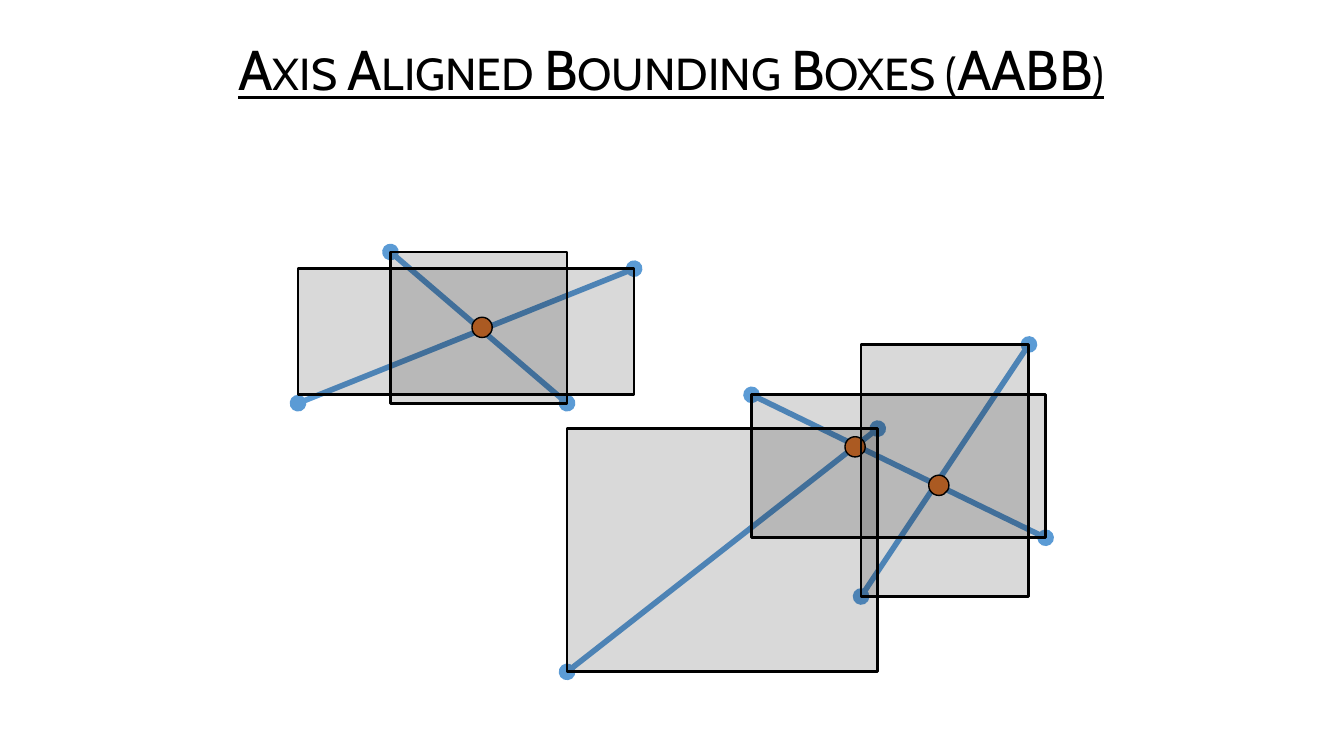
"""Build a slide of line segments, their axis-aligned bounding boxes and their crossings."""
from lxml.etree import SubElement
from pptx import Presentation
from pptx.dml.color import RGBColor
from pptx.enum.shapes import MSO_CONNECTOR, MSO_SHAPE
from pptx.enum.text import MSO_ANCHOR, MSO_AUTO_SIZE, PP_ALIGN
from pptx.oxml.ns import qn
from pptx.util import Cm, Pt

COLORS = {"ink": "000000", "segment": "5B9BD5", "crossing": "ED7D31"}
FALLING = (9.84, 6.35, 14.29, 10.16)
RISING = (7.51, 10.16, 15.98, 6.77)
LONG = (14.29, 16.93, 22.12, 10.8)
SHALLOW = (18.94, 9.95, 26.35, 13.55)
STEEP = (25.93, 8.68, 21.7, 15.03)
SEGMENTS = [FALLING, RISING, LONG, SHALLOW, STEEP]
RISING_BOX = (7.51, 9.95, 15.98, 6.77)
BOX_CORNERS = [RISING_BOX, FALLING, LONG, STEEP, SHALLOW]
CROSSINGS = [(12.15, 8.25), (21.55, 11.26), (23.66, 12.23)]
CROSSING_SIZE = 0.51


def rgb(name):
    return RGBColor.from_string(COLORS[name])


def write(frame, text, *, font, size, color, align):
    frame.word_wrap = True
    frame.auto_size = MSO_AUTO_SIZE.NONE
    frame.vertical_anchor = MSO_ANCHOR.MIDDLE
    paragraph = frame.paragraphs[0]
    paragraph.alignment = align
    paragraph.line_spacing = 0.9
    run = paragraph.add_run()
    run.text = text
    run.font.name = font
    run.font.size = Pt(size)
    run.font.underline = True
    run.font.color.rgb = rgb(color)
    run.font._element.set("cap", "small")


def add_heading(slide, text):
    heading = slide.shapes.title
    heading.left, heading.top = Cm(4.42), Cm(0.74)
    heading.width, heading.height = Cm(25), Cm(2.16)
    write(heading.text_frame, text, font="Cabin", size=40, color="ink",
          align=PP_ALIGN.CENTER)


def add_segment(slide, ends):
    segment = slide.shapes.add_connector(MSO_CONNECTOR.STRAIGHT, *map(Cm, ends))
    segment.line.color.rgb = rgb("segment")
    segment.line.width = Pt(4)
    outline = segment.line._get_or_add_ln()
    for tag in ("a:headEnd", "a:tailEnd"):
        SubElement(outline, qn(tag), type="oval")
    SubElement(segment._element.spPr, qn("a:effectLst"))


def add_outlined(slide, preset, frame, *, fill, line_width, opacity=100):
    outlined = slide.shapes.add_shape(preset, *map(Cm, frame))
    outlined.shadow.inherit = False
    outlined.fill.solid()
    outlined.fill.fore_color.rgb = rgb(fill)
    if opacity < 100:
        tint = outlined._element.spPr.find(qn("a:solidFill"))[0]
        SubElement(tint, qn("a:alpha"), val=str(opacity * 1000))
    outlined.line.color.rgb = rgb("ink")
    outlined.line.width = Pt(line_width)


def add_crossing(slide, x, y):
    frame = (x - CROSSING_SIZE / 2, y - CROSSING_SIZE / 2, CROSSING_SIZE, CROSSING_SIZE)
    add_outlined(slide, MSO_SHAPE.OVAL, frame, fill="crossing", line_width=1)


def add_bounding_box(slide, corners):
    x1, y1, x2, y2 = corners
    frame = (min(x1, x2), min(y1, y2), abs(x2 - x1), abs(y2 - y1))
    add_outlined(slide, MSO_SHAPE.RECTANGLE, frame, fill="ink", line_width=2, opacity=15)


def main():
    deck = Presentation()
    deck.slide_width, deck.slide_height = Cm(33.87), Cm(19.05)
    slide = deck.slides.add_slide(deck.slide_layouts[5])
    add_heading(slide, "Axis Aligned Bounding Boxes (AABB)")
    for ends in SEGMENTS:
        add_segment(slide, ends)
    for x, y in CROSSINGS:
        add_crossing(slide, x, y)
    for corners in BOX_CORNERS:
        add_bounding_box(slide, corners)
    deck.save("out.pptx")


main()
